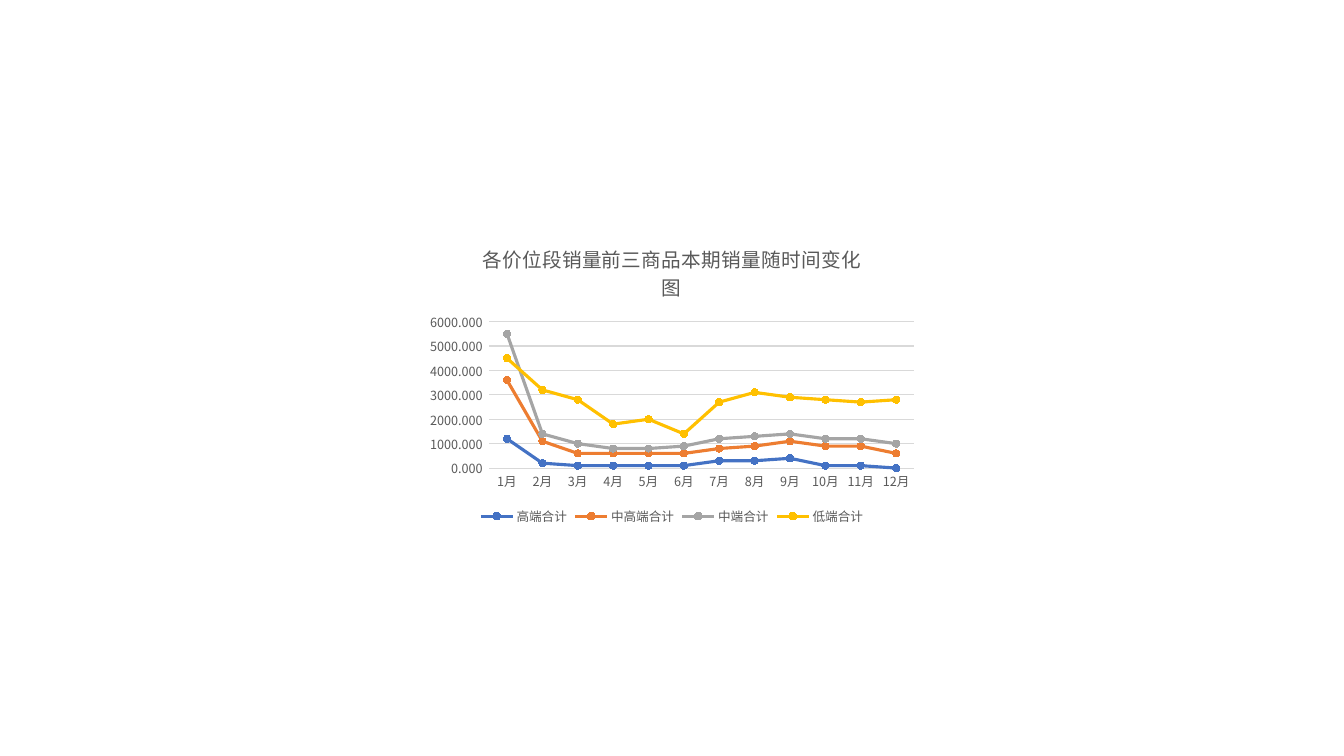
"""Build a slide with a line chart of monthly sales by price tier."""
from dataclasses import dataclass

from lxml.etree import Element
from pptx import Presentation
from pptx.chart.data import CategoryChartData
from pptx.chart.chart import Chart
from pptx.chart.series import LineSeries
from pptx.dml.color import RGBColor
from pptx.enum.chart import XL_CHART_TYPE as ChartType
from pptx.enum.chart import XL_LEGEND_POSITION as LegendPosition
from pptx.enum.chart import XL_MARKER_STYLE as MarkerStyle
from pptx.enum.chart import XL_TICK_MARK as TickMark
from pptx.oxml.ns import qn
from pptx.text.text import Font
from pptx.util import Pt

FONT_NAME = "Noto Sans CJK SC"
TITLE = "各价位段销量前三商品本期销量随时间变化图"
MONTHS = [f"{month}月" for month in range(1, 13)]
BLACK = RGBColor(0x00, 0x00, 0x00)
TEXT_GRAY = RGBColor(0x59, 0x59, 0x59)
LINE_GRAY = RGBColor(0xD9, 0xD9, 0xD9)
BLUE = RGBColor(0x44, 0x72, 0xC4)
ORANGE = RGBColor(0xED, 0x7D, 0x31)
GRAY = RGBColor(0xA5, 0xA5, 0xA5)
YELLOW = RGBColor(0xFF, 0xC0, 0x00)


@dataclass(frozen=True)
class Tier:
    name: str
    color: RGBColor
    sales: tuple[int, ...]


TIERS = [
    Tier("高端合计", BLUE,
         (1200, 200, 100, 100, 100, 100, 300, 300, 400, 100, 100, 0)),
    Tier("中高端合计", ORANGE,
         (3600, 1100, 600, 600, 600, 600, 800, 900, 1100, 900, 900, 600)),
    Tier("中端合计", GRAY,
         (5500, 1400, 1000, 800, 800, 900, 1200, 1300, 1400, 1200, 1200, 1000)),
    Tier("低端合计", YELLOW,
         (4500, 3200, 2800, 1800, 2000, 1400, 2700, 3100, 2900, 2800, 2700, 2800)),
]


def style_font(font: Font, size: float, color: RGBColor = TEXT_GRAY) -> None:
    font.name = FONT_NAME
    font.size = Pt(size)
    font.bold = False
    font.color.rgb = color


def style_series(series: LineSeries, color: RGBColor) -> None:
    series.smooth = False
    series.format.line.color.rgb = color
    series.format.line.width = Pt(2.25)
    marker = series.marker
    marker.style = MarkerStyle.CIRCLE
    marker.size = 5
    marker.format.fill.solid()
    marker.format.fill.fore_color.rgb = color
    marker.format.line.color.rgb = color


def style_title(chart: Chart) -> None:
    chart.has_title = True
    chart.chart_title.include_in_layout = False
    paragraph = chart.chart_title.text_frame.paragraphs[0]
    paragraph.text = TITLE
    style_font(paragraph.font, 14)


def style_axes(chart: Chart) -> None:
    for axis in (chart.category_axis, chart.value_axis):
        axis.major_tick_mark = axis.minor_tick_mark = TickMark.NONE
        style_font(axis.tick_labels.font, 9)
    value_axis = chart.value_axis
    value_axis.minimum_scale = 0
    value_axis.maximum_scale = 6000
    value_axis.major_unit = 1000
    value_axis.has_major_gridlines = True
    value_axis.format.line.fill.background()
    value_axis.tick_labels.number_format = "0.000_ "
    value_axis.tick_labels.number_format_is_linked = False
    for line in (chart.category_axis.format.line,
                 value_axis.major_gridlines.format.line):
        line.color.rgb = LINE_GRAY
        line.width = Pt(0.75)


def style_legend(chart: Chart) -> None:
    chart.has_legend = True
    chart.legend.position = LegendPosition.BOTTOM
    chart.legend.include_in_layout = False
    style_font(chart.legend.font, 9)


def set_east_asian_fonts(chart: Chart) -> None:
    for latin in list(chart.element.iter(qn("a:latin"))):
        latin.addnext(Element(qn("a:ea"), typeface=FONT_NAME))


def main() -> None:
    presentation = Presentation()
    presentation.slide_width, presentation.slide_height = Pt(960), Pt(540)
    slide = presentation.slides.add_slide(presentation.slide_layouts[6])

    chart_data = CategoryChartData()
    chart_data.categories = MONTHS
    for tier in TIERS:
        chart_data.add_series(tier.name, tier.sales)
    chart = slide.shapes.add_chart(
        ChartType.LINE_MARKERS, Pt(300), Pt(162), Pt(360), Pt(216), chart_data
    ).chart

    style_font(chart.font, 10, BLACK)
    style_title(chart)
    style_axes(chart)
    style_legend(chart)
    chart.plots[0].vary_by_categories = False
    for series, tier in zip(chart.plots[0].series, TIERS):
        style_series(series, tier.color)
    set_east_asian_fonts(chart)

    presentation.save("out.pptx")


if __name__ == "__main__":
    main()
